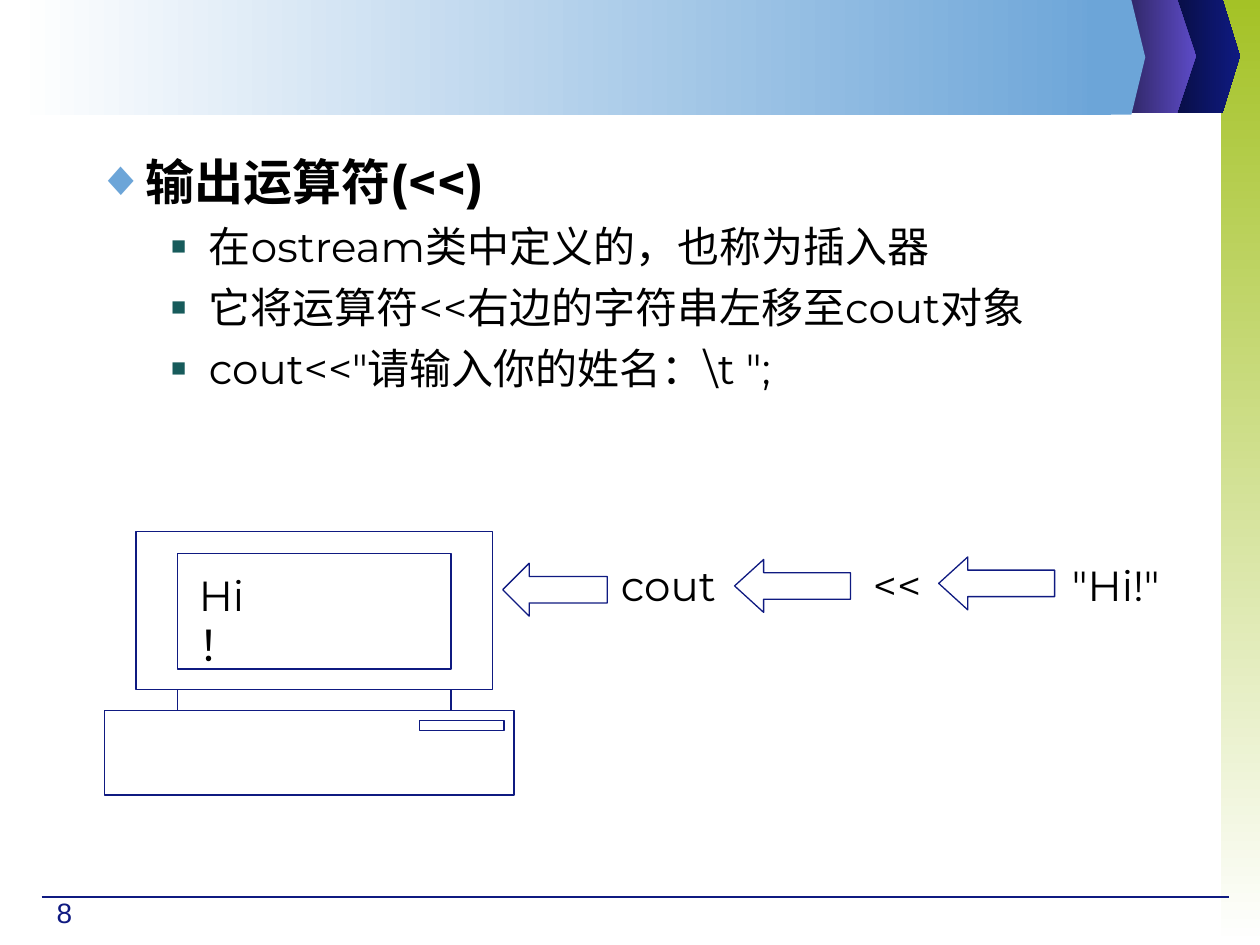
import pptx
import pptx.dml.color
import pptx.enum.shapes
import pptx.enum.text
import pptx.oxml.ns
import pptx.util
from lxml import etree

Inches, Pt = pptx.util.Inches, pptx.util.Pt
MSO = pptx.enum.shapes.MSO_SHAPE
qn = pptx.oxml.ns.qn

THEME = dict(
    navy="0F1A81", midnight="070C3C", plum="2B235C", violet="5D4BC7",
    sky="6CA5D8", lime="A4C226", teal="175B5B", white="FFFFFF", black="000000",
    heading=28, text=24, number=16, line=0.75, body_font="Montserrat", number_font="Arial",
)

# Content
HEADING = "输出运算符(<<)"
POINTS = [
    "在ostream类中定义的，也称为插入器",
    "它将运算符<<右边的字符串左移至cout对象",
    r'cout<<"请输入你的姓名：\t ";',
]
FLOW_LABELS = [("cout", 4.83, 1.17), ("<<", 6.83, 0.75), ('"Hi!"', 8.41, 1.17)]
FLOW_ARROWS = [(3.99, 4.47, 0.83, 0.5), (5.83, 4.44, 0.92, 0.55), (7.45, 4.42, 0.92, 0.55)]
COMPUTER = {
    "monitor": (1.08, 4.22, 2.83, 1.25),
    "screen": (1.41, 4.39, 2.17, 0.92),
    "case": (0.83, 5.64, 3.25, 0.67),
    "drive": (3.33, 5.72, 0.67, 0.08),
}
# Left, top, body width, tip width, colours
CHEVRONS = [
    (9.25, -0.01, 0.45, 0.14, ("midnight", "navy")),
    (8.9, -0.01, 0.44, 0.15, ("plum", "violet")),
]
BAND_TIP = (8.63, 0, 0.35, 0.11, ("sky",))
BAND_HEIGHT = 0.91
LEVELS = [
    dict(margin=0.29, indent=-0.29, before=0, char="◆", color="sky", size=100),
    dict(margin=0.89, indent=-0.3, before=6, char="■", color="teal", size=60),
]


def rgb(name):
    return pptx.dml.color.RGBColor.from_string(THEME[name])


def paint(sp, colors=(), angle=0):
    """Fill with no, one or two colours; unfilled shapes get the navy outline."""
    sp.shadow.inherit = False
    if not colors:
        sp.fill.background()
        sp.line.color.rgb = rgb("navy")
        sp.line.width = Pt(THEME["line"])
        return
    sp.line.fill.background()
    if len(colors) == 1:
        sp.fill.solid()
        sp.fill.fore_color.rgb = rgb(colors[0])
    else:
        sp.fill.gradient()
        sp.fill.gradient_angle = angle
        for i, (stop, color) in enumerate(zip(sp.fill.gradient_stops, colors)):
            stop.position = i
            stop.color.rgb = rgb(color)


def add_shape(s, kind, box, colors=(), angle=0):
    sp = s.shapes.add_shape(kind, *map(Inches, box))
    paint(sp, colors, angle)
    return sp


def add_chevron(s, left, top, body, tip, colors):
    right, bottom = left + body, top + BAND_HEIGHT
    points = [(left, top), (right, top), (right + tip, top + BAND_HEIGHT / 2),
              (right, bottom), (left, bottom)]
    points = [(Inches(x), Inches(y)) for x, y in points]
    builder = s.shapes.build_freeform(*points[0])
    builder.add_line_segments(points[1:], close=True)
    paint(builder.convert_to_shape(), colors)


def add_line(s, x1, y1, x2, y2):
    c = s.shapes.add_connector(
        pptx.enum.shapes.MSO_CONNECTOR.STRAIGHT, *map(Inches, (x1, y1, x2, y2)))
    c.line.color.rgb = rgb("navy")
    c.line.width = Pt(THEME["line"])
    etree.SubElement(c._element.spPr, qn("a:effectLst"))


def add_run(p, text, size="text", font="body_font", color="black", bold=False):
    r = p.add_run()
    r.text = text
    values = dict(name=THEME[font], size=Pt(THEME[size]), bold=bold)
    for key, value in values.items():
        setattr(r.font, key, value)
    r.font.color.rgb = rgb(color)


def add_frame(s, box):
    tf = s.shapes.add_textbox(*map(Inches, box)).text_frame
    tf.word_wrap = True
    return tf


def add_bullet(p, level):
    style = LEVELS[level]
    p.level = level
    pPr = p._p.get_or_add_pPr()
    pPr.set("marL", str(Inches(style["margin"])))
    pPr.set("indent", str(Inches(style["indent"])))
    color = etree.SubElement(pPr, qn("a:buClr"))
    etree.SubElement(color, qn("a:srgbClr"), val=THEME[style["color"]])
    etree.SubElement(pPr, qn("a:buSzPct"), val=str(style["size"] * 1000))
    etree.SubElement(pPr, qn("a:buFont"), typeface=THEME["number_font"])
    etree.SubElement(pPr, qn("a:buChar"), char=style["char"])
    p.space_before = Pt(style["before"])


def main():
    prs = pptx.Presentation()
    prs.slide_width, prs.slide_height = Inches(10), Inches(7.5)
    s = prs.slides.add_slide(prs.slide_layouts[6])

    # Side strip, header band and footer rule
    add_shape(s, MSO.RECTANGLE, (9.69, 0, 0.31, 7.5), ("lime", "white"), 270)
    for chevron in CHEVRONS:
        add_chevron(s, *chevron)
    add_line(s, 0.33, 7.12, 9.75, 7.12)
    add_shape(s, MSO.RECTANGLE, (0.12, 0, 8.7, BAND_HEIGHT), ("white", "sky"))
    add_chevron(s, *BAND_TIP)

    # Slide number
    tf = add_frame(s, (0.35, 7.06, 0.55, 0.37))
    add_run(tf.paragraphs[0], "8", "number", "number_font", "navy")

    # Heading and points
    tf = add_frame(s, (0.67, 1.15, 9, 5.67))
    p = tf.paragraphs[0]
    add_bullet(p, 0)
    add_run(p, HEADING, "heading", bold=True)
    for point in POINTS:
        p = tf.add_paragraph()
        add_bullet(p, 1)
        add_run(p, point)

    # Computer, with the neck joining monitor and case
    for box in COMPUTER.values():
        add_shape(s, MSO.RECTANGLE, box)
    left, _, width, _ = COMPUTER["screen"]
    for x in (left, left + width):
        add_line(s, x, 5.47, x, COMPUTER["case"][1])
    tf = add_frame(s, (1.48, 4.47, 0.94, 0.5))
    tf.margin_right = Inches(0.3)
    add_run(tf.paragraphs[0], "Hi！")

    # Flow of the string towards the screen
    for x, y, width, head in FLOW_ARROWS:
        sp = add_shape(s, MSO.LEFT_ARROW, (x, y, width, 0.42))
        sp.adjustments[1] = head
    for text, x, width in FLOW_LABELS:
        add_run(add_frame(s, (x, 4.39, width, 0.5)).paragraphs[0], text)

    prs.save("out.pptx")


if __name__ == "__main__":
    main()
